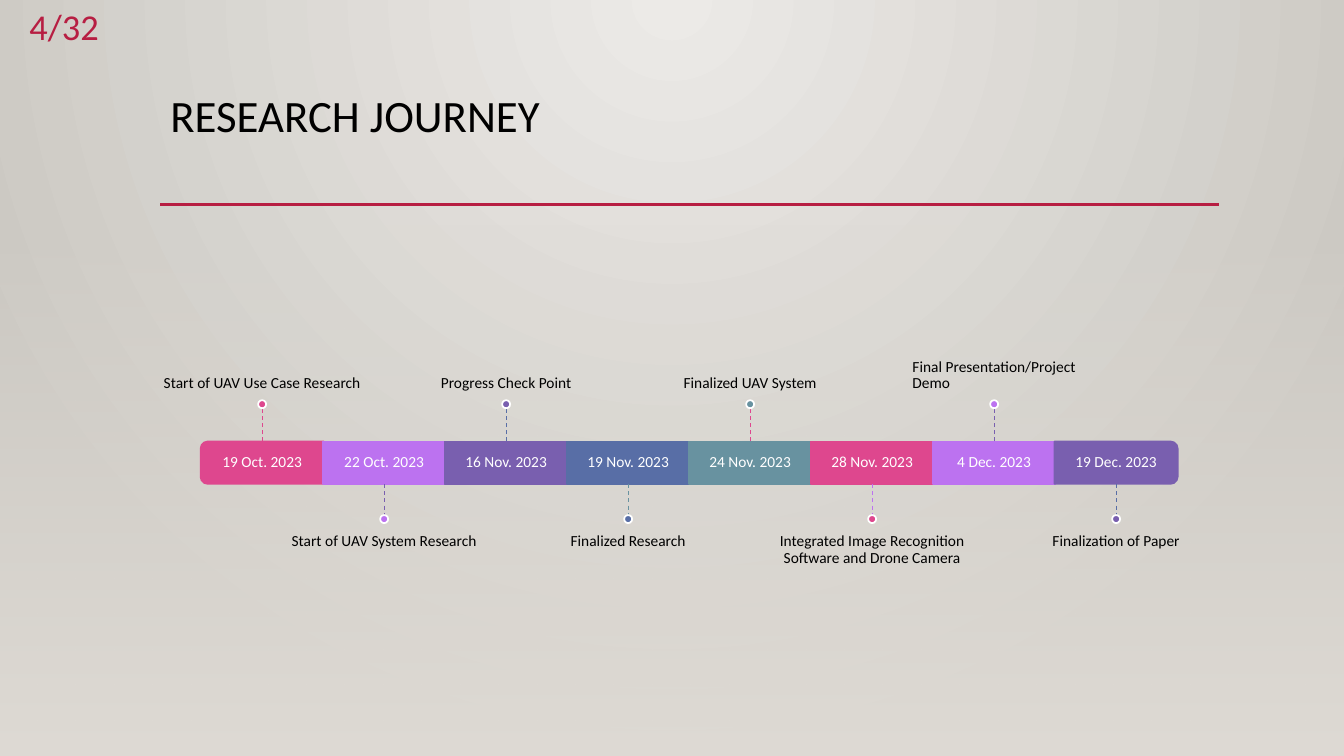
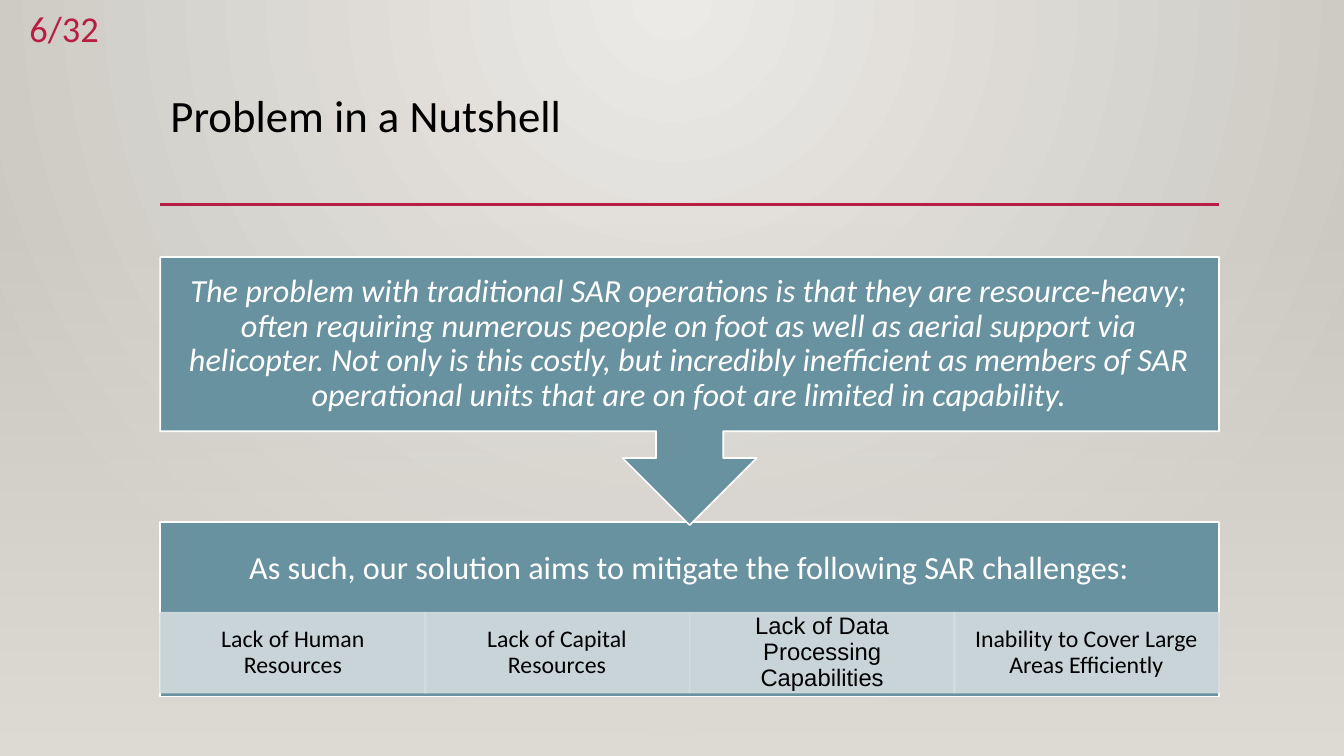
from lxml import etree
from pptx import Presentation
from pptx import util as u
from pptx.dml.color import RGBColor
from pptx.enum import dml, shapes, text
from pptx.oxml.ns import qn

WHITE, BLACK, RED, TEAL, PALE = "FFFFFF", "000000", "B71E42", "6892A0", "D4DCDF"
HUES = ["DE478E", "BC72F0", "795FAF", "586EA6", TEAL]
KIND, ALIGN, MID = shapes.MSO_SHAPE, text.PP_ALIGN, text.MSO_ANCHOR.MIDDLE
LEFT, WIDE = 159, 1050


def px(n):
    return u.Emu(n * 9144)


def hue(code):
    return RGBColor.from_string(code)


class Deck:
    """Holds the shared style and the slide being built."""

    def __init__(self):
        self.prs = Presentation()
        self.prs.slide_width, self.prs.slide_height = px(1333), px(750)

    def page(self, title, mark, top=0):
        self.slide = self.prs.slides.add_slide(self.prs.slide_layouts[5])
        self.fade(self.slide.background.fill, "ECEAE7", "CAC7C1")
        lin = self.slide.element.xpath(".//p:bg//a:lin")[0]
        ring = etree.Element(qn("a:path"), path="circle")
        etree.SubElement(ring, qn("a:fillToRect"), l="43000", t="0", r="43000", b="100000")
        lin.getparent().replace(lin, ring)

        head = self.slide.shapes.title
        head.left, head.top, head.width, head.height = map(px, (LEFT, 88, WIDE, 115))
        head.text_frame.auto_size = text.MSO_AUTO_SIZE.NONE
        self.label(head, title, 32, side=ALIGN.LEFT, anchor=text.MSO_ANCHOR.TOP)

        glow = self.box(0, 221, 1333, 529, WHITE)
        self.fade(glow.fill, "DFDBD5", "DFDBD5")
        glow.fill.gradient_angle = 270
        glow.line.fill.background()
        clear = glow.element.xpath(".//a:gs[1]/a:srgbClr")[0]
        etree.SubElement(clear, qn("a:alpha"), val="0")

        self.rule(LEFT, 203, LEFT + WIDE, 203, RED, 2.5)
        self.note(0, top, 108, 52, mark, 26, RED, side=ALIGN.RIGHT, lead=1)

    def fade(self, fill, *tones):
        fill.gradient()
        for stop, tone in zip(fill.gradient_stops, tones):
            stop.color.rgb = hue(tone)

    def label(self, shape, words, size, color=BLACK, side=ALIGN.CENTER, anchor=MID,
              ins=(10, 5, 10, 5), font="Calibri", slant=False, lead=0.9):
        frame = shape.text_frame
        frame.text = words
        frame.word_wrap = True
        frame.vertical_anchor = anchor
        (frame.margin_left, frame.margin_top,
         frame.margin_right, frame.margin_bottom) = map(px, ins)
        para = frame.paragraphs[0]
        para.alignment, para.line_spacing = side, lead
        for run in para.runs:
            run.font.name, run.font.size = font, u.Pt(size)
            run.font.italic = slant
            run.font.color.rgb = hue(color)

    def note(self, x, y, w, h, words, size, color=BLACK, **look):
        area = self.slide.shapes.add_textbox(*map(px, (x, y, w, h)))
        self.label(area, words, size, color, **look)

    def box(self, x, y, w, h, fill, edge=None, kind=KIND.RECTANGLE, alpha=None):
        shape = self.slide.shapes.add_shape(kind, *map(px, (x, y, w, h)))
        shape.shadow.inherit = False
        shape.fill.solid()
        shape.fill.fore_color.rgb = hue(fill)
        shape.line.color.rgb = hue(edge or fill)
        shape.line.width = u.Pt(1.25)
        if alpha:
            for tone in shape.element.spPr.xpath(".//a:srgbClr"):
                etree.SubElement(tone, qn("a:alpha"), val=str(alpha * 1000))
        return shape

    def rule(self, x, y, x2, y2, color, width, dash=None):
        line = self.slide.shapes.add_connector(
            shapes.MSO_CONNECTOR.STRAIGHT, *map(px, (x, y, x2, y2)))
        line.line.color.rgb = hue(color)
        line.line.width = u.Pt(width)
        if dash:
            line.line.dash_style = dash
        etree.SubElement(line.element.spPr, qn("a:effectLst"))
        return line

    def stage(self, x, date, fill, turn=None):
        top, w, h = 438, 122, 42
        look = dict(anchor=MID, ins=(9, 9, 9, 9))
        if turn is None:
            bar = self.box(x, top, w, h, fill)
            self.label(bar, date, 11, WHITE, **look)
            return bar
        gap = (w - h) // 2
        cap = self.box(x + gap, top - gap, h, w, fill, kind=KIND.ROUND_2_SAME_RECTANGLE)
        cap.rotation = turn
        self.note(x, top, w, h, date, 11, WHITE, **look)

    def pin(self, mid, words, fill, tint, above, bar, side, inset):
        near, far, spot, area = (438, 406, 397, 255) if above else (480, 511, 511, 520)
        line = self.rule(mid, near, mid, far, tint, 0.75, dml.MSO_LINE.DASH)
        if bar:
            line.begin_connect(bar, 0 if above else 2)
        self.box(mid - 4, spot, 8, 8, fill, WHITE, KIND.OVAL)
        anchor = text.MSO_ANCHOR.BOTTOM if above else text.MSO_ANCHOR.TOP
        ins = (inset, 0, 0, 9) if above else (inset, 9, 0, 0)
        self.note(mid - 101, area, 202, 143, words, 11, side=side, anchor=anchor, ins=ins)


def journey(deck):
    deck.page("RESEARCH JOURNEY", "4/32")
    steps = [
        ("19 Oct. 2023", "Start of UAV Use Case Research"),
        ("22 Oct. 2023", "Start of UAV System Research"),
        ("16 Nov. 2023", "Progress Check Point"),
        ("19 Nov. 2023", "Finalized Research"),
        ("24 Nov. 2023", "Finalized UAV System"),
        ("28 Nov. 2023", "Integrated Image Recognition Software and Drone Camera"),
        ("4 Dec. 2023", "Final Presentation/Project Demo"),
        ("19 Dec. 2023", "Finalization of Paper"),
    ]
    turns = {0: 270, len(steps) - 1: 90}
    for i, (date, words) in enumerate(steps):
        x = 199 + 121 * i
        fill = HUES[i % 5]
        tint = HUES[(i + 1) % 5] if i else fill
        bar = deck.stage(x, date, fill, turns.get(i))
        side, inset = (ALIGN.LEFT, 20) if i == 6 else (ALIGN.CENTER, 0)
        deck.pin(x + 61, words, fill, tint, i % 2 == 0, bar, side, inset)


def problem(deck):
    deck.page("Problem in a Nutshell", "6/32", 2)
    base = deck.box(LEFT, 518, WIDE, 173, TEAL, WHITE)
    deck.label(base, "As such, our solution aims to mitigate the following SAR challenges:",
               23, WHITE, ins=(18, 18, 18, 98))
    needs = [
        ("Lack of Human Resources", "Calibri"),
        ("Lack of Capital Resources", "Calibri"),
        ("Lack of Data Processing Capabilities", "Arial"),
        ("Inability to Cover Large Areas Efficiently", "Calibri"),
    ]
    for i, (words, font) in enumerate(needs):
        cell = deck.box(LEFT + WIDE * i // 4, 608, 263, 79, PALE, alpha=90)
        deck.label(cell, words, 17, ins=(13, 2, 13, 2), font=font)
    call = deck.box(LEFT, 255, WIDE, 266, TEAL, WHITE, KIND.DOWN_ARROW_CALLOUT)
    deck.label(call, "The problem with traditional SAR operations is that they are "
               "resource-heavy; often requiring numerous people on foot as well as aerial "
               "support via helicopter. Not only is this costly, but incredibly inefficient "
               "as members of SAR operational units that are on foot are limited in "
               "capability.", 23, WHITE, ins=(18, 18, 18, 18), slant=True)


def main():
    deck = Deck()
    journey(deck)
    problem(deck)
    deck.prs.save("out.pptx")


if __name__ == "__main__":
    main()
